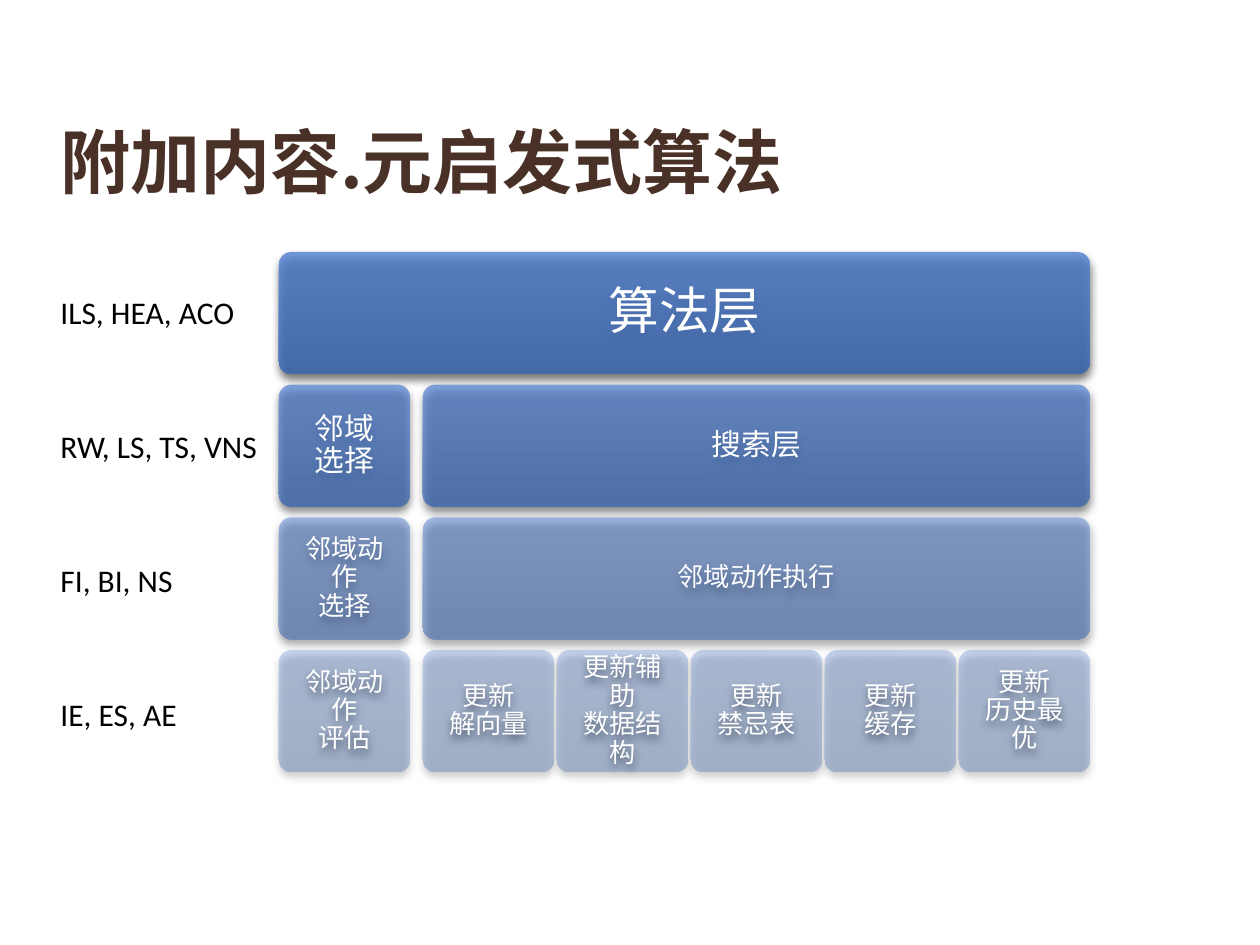
from lxml.etree import SubElement
from pptx import Presentation
from pptx.dml.color import RGBColor
from pptx.enum.shapes import MSO_SHAPE
from pptx.enum.text import MSO_ANCHOR, PP_ALIGN
from pptx.oxml.ns import qn
from pptx.util import Emu, Pt

PX = 914400 / 126
COLORS = {"title": "4A3128", "label": "000000", "tile_text": "FFFFFF",
          "tile_top": "5180D2", "tile_bottom": "3665B3", "shadow": "000000"}
CJK = "Noto Sans CJK SC"

# Each row: opacity in percent, font size, head tile (or None), other tiles
ROWS = [
    (80, 29, None, ["算法层"]),
    (70, 17, "邻域\v选择", ["搜索层"]),
    (50, 15, "邻域动作\v选择", ["邻域动作执行"]),
    (30, 15, "邻域动作\v评估",
     ["更新\v解向量", "更新辅助\v数据结构", "更新\v禁忌表", "更新\v缓存", "更新\v历史最优"]),
]
LABELS = ["ILS, HEA, ACO", "RW, LS, TS, VNS", "FI, BI, NS", "IE, ES, AE"]
TILE_WIDTH, TILE_HEIGHT, HEAD_GAP = 131, 122, 13


def emu(*lengths):
    return [Emu(round(length * PX)) for length in lengths]


def write(shape, text, color, frame_format, paragraph_format, font_format):
    """Put one styled paragraph into a shape."""
    frame = shape.text_frame
    frame.word_wrap = True
    paragraph = frame.paragraphs[0]
    paragraph.text = text
    for target, values in ((frame, frame_format), (paragraph, paragraph_format)):
        for name, value in values.items():
            setattr(target, name, value)
    for span in paragraph.runs:
        for name, value in font_format.items():
            setattr(span.font, name, value)
        span.font.color.rgb = RGBColor.from_string(COLORS[color])
        east_asian = SubElement(span.font._element, qn("a:ea"))
        east_asian.set("typeface", font_format["name"])


def add_title(page, left, top, width, height):
    box = page.shapes.add_textbox(*emu(left, top, width, height))
    write(box, "附加内容.元启发式算法", "title",
          {"vertical_anchor": MSO_ANCHOR.MIDDLE}, {"line_spacing": Pt(40)},
          {"name": CJK, "size": Pt(40), "bold": True})


def add_tile(page, left, top, width, height, text, opacity, size):
    tile = page.shapes.add_shape(MSO_SHAPE.ROUNDED_RECTANGLE,
                                 *emu(left, top, width, height))
    tile.adjustments[0] = 0.1
    tile.line.fill.background()

    # Translucent vertical gradient
    tile.fill.gradient()
    tile.fill.gradient_angle = 270
    for stop, name in zip(tile.fill.gradient_stops, ("tile_top", "tile_bottom")):
        stop.color.rgb = RGBColor.from_string(COLORS[name])
    properties = tile._element.spPr
    for color in properties.iter(qn("a:srgbClr")):
        SubElement(color, qn("a:alpha"), val=str(opacity * 1000))

    # Soft shadow below
    tile.shadow.inherit = False
    shadow = SubElement(properties.find(qn("a:effectLst")), qn("a:outerShdw"),
                        blurRad=str(Pt(5)), dist=str(Pt(3)), dir="5400000",
                        algn="ctr", rotWithShape="0")
    color = SubElement(shadow, qn("a:srgbClr"), val=COLORS["shadow"])
    SubElement(color, qn("a:alpha"), val="65000")

    margin = emu(10)[0]
    margins = {f"margin_{side}": margin for side in ("left", "top", "right", "bottom")}
    write(tile, text, "tile_text",
          {"vertical_anchor": MSO_ANCHOR.MIDDLE, **margins},
          {"alignment": PP_ALIGN.CENTER, "line_spacing": 0.9},
          {"name": CJK, "size": Pt(size)})


def add_layers(page, left, top, width, height):
    pitch = (height - TILE_HEIGHT) / (len(ROWS) - 1)
    for index, (opacity, size, head, texts) in enumerate(ROWS):
        row_top = top + index * pitch
        row_left, row_width = left, width
        if head:
            add_tile(page, left, row_top, TILE_WIDTH, TILE_HEIGHT, head, opacity, size)
            row_left += TILE_WIDTH + HEAD_GAP
            row_width -= TILE_WIDTH + HEAD_GAP
        # Equal tiles fill the row
        tile_width = row_width if len(texts) == 1 else TILE_WIDTH
        step = (row_width - tile_width) / max(len(texts) - 1, 1)
        for column, text in enumerate(texts):
            add_tile(page, row_left + column * step, row_top, tile_width, TILE_HEIGHT,
                     text, opacity, size)


def add_labels(page, left, top, width, height):
    label_height = 50
    pitch = (height - label_height) / (len(LABELS) - 1)
    for index, text in enumerate(LABELS):
        box = page.shapes.add_textbox(
            *emu(left, top + index * pitch, width, label_height))
        write(box, text, "label", {}, {}, {"name": "Calibri", "size": Pt(18)})


def main():
    deck = Presentation()
    deck.slide_width, deck.slide_height = emu(1260, 945)
    page = deck.slides.add_slide(deck.slide_layouts[6])
    add_title(page, 48, 88, 1043, 159)
    add_layers(page, 279, 252, 811, 520)
    add_labels(page, 48, 287, 231, 452)
    deck.save("out.pptx")


if __name__ == "__main__":
    main()
